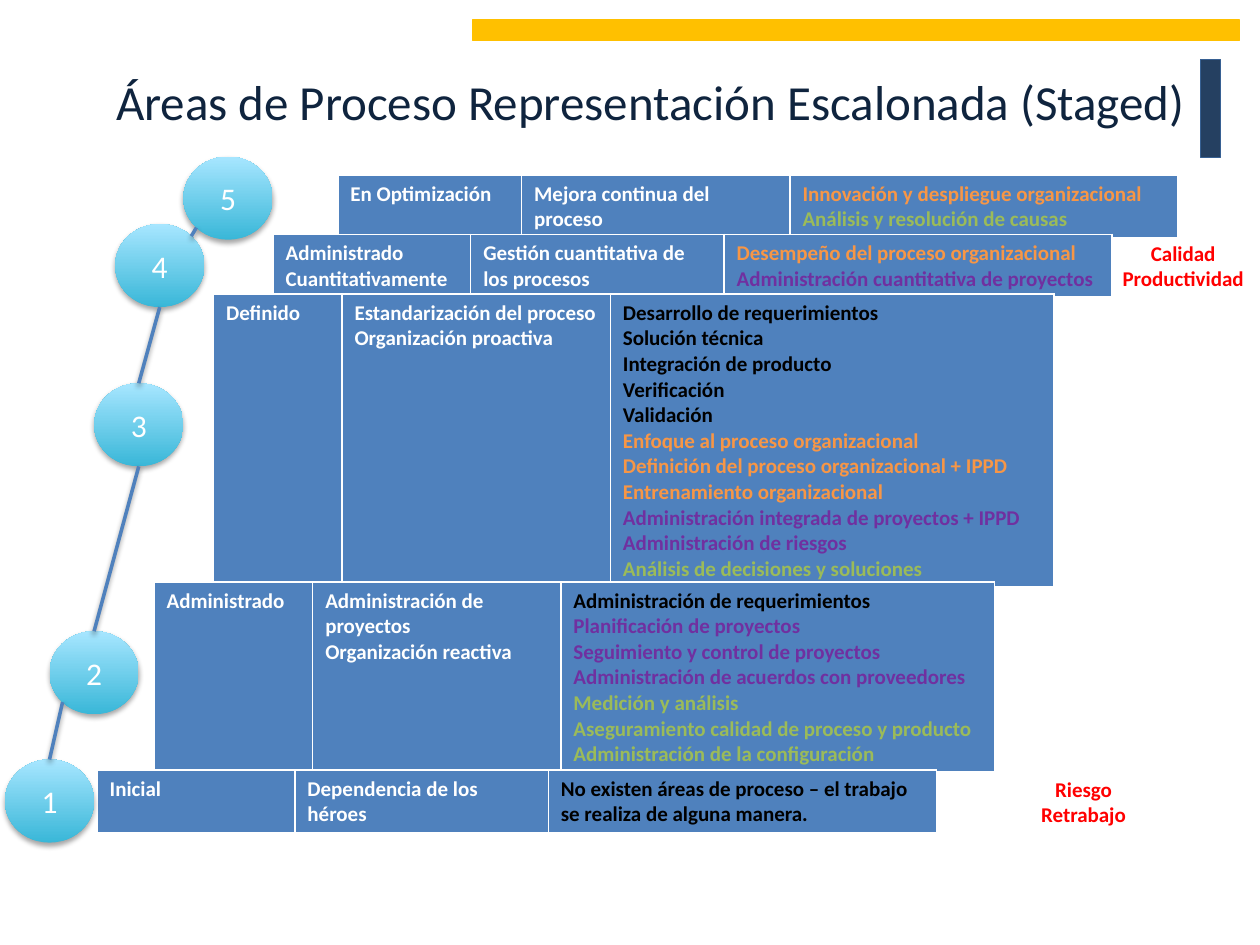
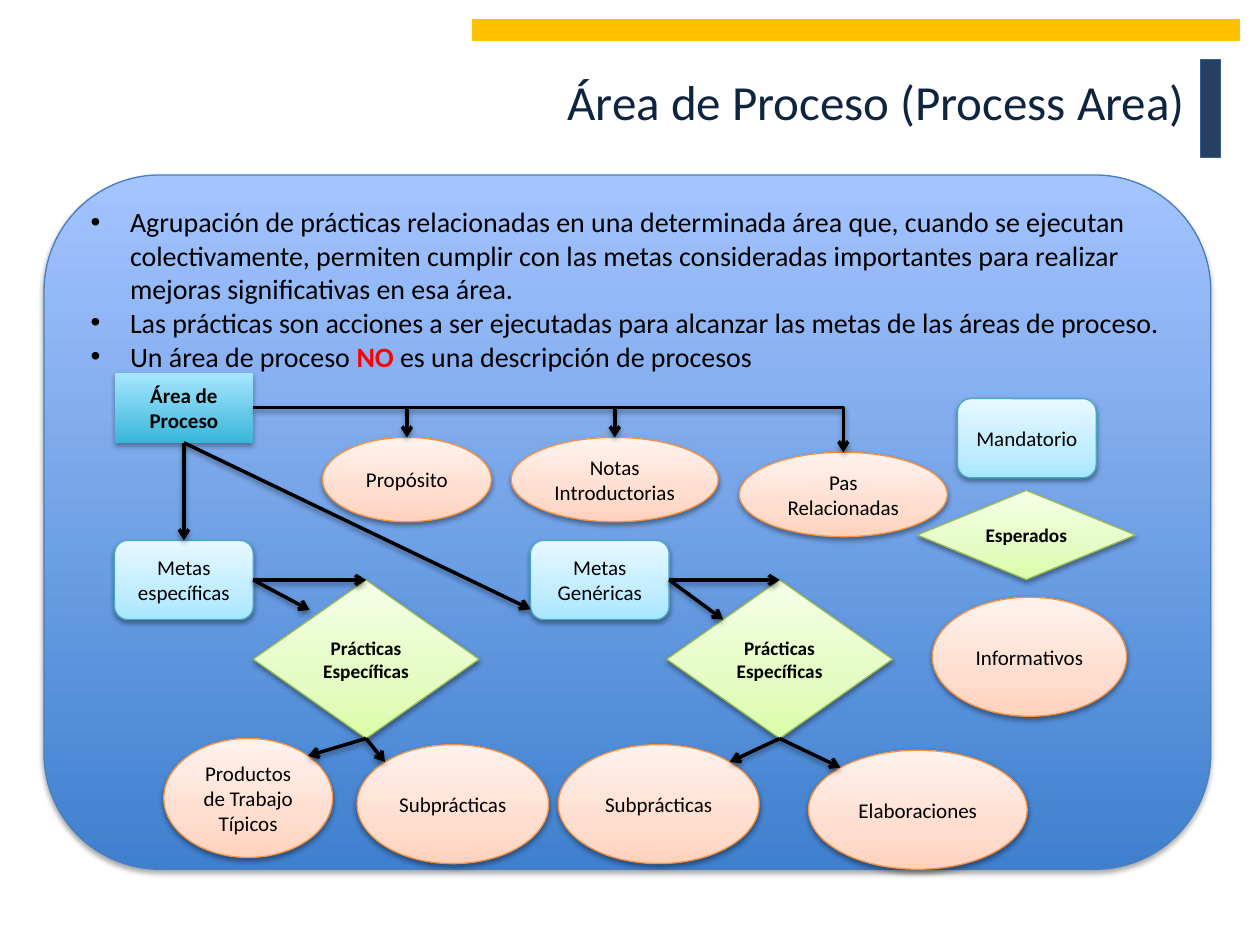
from dataclasses import dataclass

from lxml import etree
from pptx import Presentation
from pptx.dml.color import RGBColor
from pptx.enum import shapes as kinds, text as txt
from pptx.oxml.ns import qn
from pptx.util import Pt

KIND = kinds.MSO_SHAPE
LINK = kinds.MSO_CONNECTOR
ALIGN = txt.PP_ALIGN
ANCHOR = txt.MSO_ANCHOR


@dataclass(frozen=True)
class Theme:
    font: str = "Calibri"
    title: int = 28
    body: int = 16
    small: int = 12
    navy: str = "0F243E"
    bar: str = "254061"
    edge: str = "376092"
    gold: str = "FFC000"
    blue: str = "4F81BD"
    white: str = "FFFFFF"
    black: str = "000000"
    red: str = "FF0000"
    orange: str = "F79646"
    green: str = "9BBB59"
    purple: str = "7030A0"


@dataclass(frozen=True)
class Style:
    kind: int
    stops: tuple            # (position in percent, colour), bottom to top
    line: str = None
    size: int = 12
    bold: bool = False
    ink: str = "000000"
    shade: tuple = (38, 1.6)  # opacity in percent, distance


T = Theme()
DEEP = ((0, "39B7D8"), (100, "A7E6FF"))
HARD = (35, 1.8)
BALL = Style(KIND.OVAL, DEEP, size=18, ink=T.white, shade=HARD)
ROOT = Style(KIND.RECTANGLE, DEEP, bold=True, shade=HARD)
PANEL = Style(KIND.ROUNDED_RECTANGLE, ((0, "3F80CE"), (100, "A4C4FF")), "4B7EBC", shade=HARD)
GOAL = Style(KIND.ROUNDED_RECTANGLE, ((0, "A7E6FF"), (35, "C1EDFF"), (100, "E7F8FF")), "46AAC5")
TASK = Style(KIND.FLOWCHART_DECISION, ((0, "DAFDA7"), (35, "E4FCC2"), (100, "F5FFE7")),
             "98B955", size=11, bold=True)
INFO = Style(KIND.OVAL, ((0, "FFD2BD"), (35, "FFDED0"), (100, "FFF2ED")), "F69240")

# Points on a shape, as fractions of its width and height
TOP, BASE, RIGHT = (0.5, 0), (0.5, 1), (1, 0.5)
NEAR, FAR = 0.146, 0.854  # diagonal points of an ellipse


def rgb(code):
    return RGBColor.from_string(code)


def box(*nums):
    return [Pt(n) for n in nums]


def style(para, size, ink, bold=False, align=None):
    font = para.font
    font.name, font.size, font.bold = T.font, Pt(size), bold
    font.color.rgb = rgb(ink)
    para.alignment = align


def place(shape, *nums):
    shape.left, shape.top, shape.width, shape.height = box(*nums)


def shade(shape, alpha, dist):
    """Soft shadow straight below; call it after fill and line are set."""
    fx = etree.SubElement(shape._element.spPr, qn("a:effectLst"))
    outer = etree.SubElement(fx, qn("a:outerShdw"), blurRad=str(Pt(3.1)), dist=str(Pt(dist)),
                             dir="5400000", rotWithShape="0")
    ink = etree.SubElement(outer, qn("a:srgbClr"), val=T.black)
    etree.SubElement(ink, qn("a:alpha"), val=str(alpha * 1000))


def blend(shape, stops):
    shape.fill.gradient()
    shape.fill.gradient_angle = 90
    group = shape._element.spPr.find(".//" + qn("a:gsLst"))
    for stop in list(group):
        group.remove(stop)
    for pos, ink in stops:
        stop = etree.SubElement(group, qn("a:gs"), pos=str(pos * 1000))
        etree.SubElement(stop, qn("a:srgbClr"), val=ink)


def node(slide, look, words, *nums):
    shape = slide.shapes.add_shape(look.kind, *box(*nums))
    blend(shape, look.stops)
    if look.line:
        shape.line.color.rgb, shape.line.width = rgb(look.line), Pt(0.75)
    else:
        shape.line.fill.background()
    shade(shape, *look.shade)
    if words:
        shape.text_frame.text = words
        style(shape.text_frame.paragraphs[0], look.size, look.ink, look.bold, ALIGN.CENTER)
    return shape


def spot(shape, part):
    return (shape.left.pt + shape.width.pt * part[0], shape.top.pt + shape.height.pt * part[1])


def link(slide, start, end, ink=T.black, arrow=True, bent=False):
    line = slide.shapes.add_connector(LINK.ELBOW if bent else LINK.STRAIGHT, *box(*start, *end))
    line.line.color.rgb, line.line.width = rgb(ink), Pt(2)
    form = line._element.spPr
    if bent:  # a single corner
        form.find(qn("a:prstGeom")).set("prst", "bentConnector2")
    if arrow:
        etree.SubElement(form.find(qn("a:ln")), qn("a:tailEnd"), type="arrow")
    shade(line, 38, 1.6)


def band(slide, fill, edge, *nums):
    shape = slide.shapes.add_shape(KIND.RECTANGLE, *box(*nums))
    shape.fill.solid()
    shape.fill.fore_color.rgb = rgb(fill)
    shape.line.color.rgb, shape.line.width = rgb(edge), Pt(0.75)
    shape.shadow.inherit = False


def start(deck, layout, words):
    """New slide with the shared title and bands."""
    slide = deck.slides.add_slide(deck.slide_layouts[layout])
    title = slide.shapes.title
    place(title, 36, 37.5, 648, 62.5)
    frame = title.text_frame
    frame.text = words
    frame.auto_size, frame.vertical_anchor = txt.MSO_AUTO_SIZE.NONE, ANCHOR.TOP
    style(frame.paragraphs[0], T.title, T.navy, align=ALIGN.RIGHT)
    band(slide, T.bar, T.edge, 686, 34, 11.5, 56)
    band(slide, T.gold, T.gold, 270, 11.5, 438.5, 11.5)
    return slide


def border(cell):
    props = cell._tc.get_or_add_tcPr()
    for side, width in (("L", 1), ("R", 1), ("T", 1), ("B", 3)):
        line = etree.SubElement(props, qn("a:ln" + side), w=str(Pt(width)))
        fill = etree.SubElement(line, qn("a:solidFill"))
        etree.SubElement(fill, qn("a:srgbClr"), val=T.white)


def step(slide, left, top, high, widths, cells):
    """One-row table; each cell is a list of (colour, lines)."""
    table = slide.shapes.add_table(1, 3, *box(left, top, sum(widths), high)).table
    for col, (wide, groups) in enumerate(zip(widths, cells)):
        table.columns[col].width = Pt(wide)
        cell = table.cell(0, col)
        border(cell)
        cell.fill.solid()
        cell.fill.fore_color.rgb = rgb(T.blue)
        rows = [(ink, row) for ink, lines in groups for row in lines]
        cell.text_frame.text = "\n".join(row for _, row in rows)
        for para, (ink, _) in zip(cell.text_frame.paragraphs, rows):
            style(para, T.small, ink, True)


def note(slide, words, left, top):
    frame = slide.shapes.add_textbox(*box(left, top, 87.8, 36)).text_frame
    frame.word_wrap = True
    frame.text = words
    style(frame.paragraphs[0], T.small, T.red, True, ALIGN.CENTER)


def bullets(slide, items, *nums):
    """Body list; each item is a list of (text, stressed)."""
    body = slide.placeholders[1]
    slide.shapes._spTree.append(body._element)  # bring in front of the panel
    place(body, *nums)
    frame = body.text_frame
    frame.auto_size, frame.vertical_anchor = txt.MSO_AUTO_SIZE.NONE, ANCHOR.TOP
    frame.margin_left = frame.margin_right = frame.margin_top = frame.margin_bottom = 0
    for num, item in enumerate(items):
        para = frame.add_paragraph() if num else frame.paragraphs[0]
        style(para, T.body, T.black)
        para.space_before = Pt(0)
        props = para._p.get_or_add_pPr()
        props.set("marL", str(Pt(22.5)))
        props.set("indent", str(Pt(-22.5)))
        for words, stress in item:
            run = para.add_run()
            run.text = words
            if stress:
                run.font.bold, run.font.color.rgb = True, rgb(T.red)


def stairs(deck):
    slide = start(deck, 5, "Áreas de Proceso Representación Escalonada (Staged)")
    # Maturity levels, top to bottom: left, top, height, widths, name, focus, areas
    levels = [
        (193, 100, 36, (105, 153.4, 221.8), "En Optimización", ["Mejora continua del proceso"],
         [(T.orange, ["Innovación y despliegue organizacional"]),
          (T.green, ["Análisis y resolución de causas"])]),
        (156, 134, 36, (113, 144.8, 221.8), "Administrado Cuantitativamente",
         ["Gestión cuantitativa de los procesos"],
         [(T.orange, ["Desempeño del proceso organizacional"]),
          (T.purple, ["Administración cuantitativa de proyectos"])]),
        (122, 168, 165.6, (73.4, 153.4, 253.4), "Definido",
         ["Estandarización del proceso", "Organización proactiva"],
         [(T.black, ["Desarrollo de requerimientos", "Solución técnica",
                     "Integración de producto", "Verificación", "Validación"]),
          (T.orange, ["Enfoque al proceso organizacional",
                      "Definición del proceso organizacional + IPPD",
                      "Entrenamiento organizacional"]),
          (T.purple, ["Administración integrada de proyectos + IPPD",
                      "Administración de riesgos"]),
          (T.green, ["Análisis de decisiones y soluciones"])]),
        (88, 332.5, 108, (90.7, 141.8, 247.7), "Administrado",
         ["Administración de proyectos", "Organización reactiva"],
         [(T.black, ["Administración de requerimientos"]),
          (T.purple, ["Planificación de proyectos", "Seguimiento y control de proyectos",
                      "Administración de acuerdos con proveedores"]),
          (T.green, ["Medición y análisis", "Aseguramiento calidad de proceso y producto",
                     "Administración de la configuración"])]),
        (55.5, 440, 36, (113, 144.8, 221.8), "Inicial", ["Dependencia de los héroes"],
         [(T.black, ["No existen áreas de proceso – el trabajo se realiza de alguna manera."])]),
    ]
    for left, top, high, widths, name, focus, areas in levels:
        step(slide, left, top, high, widths, ([(T.white, [name])], [(T.white, focus)], areas))
    note(slide, "Calidad Productividad", 632.2, 134)
    note(slide, "Riesgo Retrabajo", 575.3, 440)

    # Numbered balls, joined from 1 up to 5
    spots = [(2.8, 434), (28.3, 360.7), (53.8, 219), (65.8, 128), (104.8, 89.5)]
    balls = [node(slide, BALL, str(num), x, y, 51, 47.5) for num, (x, y) in enumerate(spots, 1)]
    ends = [(TOP, (NEAR, FAR)), (TOP, BASE), (TOP, BASE), ((FAR, NEAR), (NEAR, FAR))]
    for low, high, (out, into) in zip(balls, balls[1:], ends):
        link(slide, spot(low, out), spot(high, into), T.blue, arrow=False)


def area(deck):
    slide = start(deck, 1, "Área de Proceso (Process Area)")
    node(slide, PANEL, "", 25.2, 100, 666.7, 396.7)
    bullets(slide, [
        [("Agrupación de prácticas relacionadas en una determinada área que, cuando se ejecutan "
          "colectivamente, permiten cumplir con las metas consideradas importantes para realizar "
          "mejoras significativas en esa área.", False)],
        [("Las prácticas son acciones a ser ejecutadas para alcanzar las metas de las áreas de "
          "proceso.", False)],
        [("Un área de proceso ", False), ("NO", True),
         (" es una descripción de procesos", False)],
    ], 51.8, 117, 613.5, 98)

    # Process area and its informative parts
    root = node(slide, ROOT, "Área de Proceso", 65.5, 213, 79.2, 40)
    aim = node(slide, INFO, "Propósito", 184.3, 250, 96.5, 48.2)
    intro = node(slide, INFO, "Notas Introductorias", 292.2, 250, 118.2, 48.2)
    peers = node(slide, INFO, "Pas Relacionadas", 422.5, 258.5, 118.8, 48.2)
    link(slide, spot(root, RIGHT), spot(peers, TOP), bent=True)
    for part in (aim, intro):
        x, y = spot(part, TOP)
        link(slide, (x, spot(root, RIGHT)[1]), (x, y))

    # Goal branches: name, left, practice left, entry depth, results
    branches = [
        ("Metas específicas", 65.5, 144.7, 0.19,
         [("Productos de Trabajo Típicos", 93.6, 422, 96.5), ("Subprácticas", 204, 425.5, 109.5)]),
        ("Metas Genéricas", 303.2, 381, 0.25,
         [("Subprácticas", 319, 425.5, 114.8), ("Elaboraciones", 462, 428.7, 125)]),
    ]
    goals = []
    for name, left, side, depth, results in branches:
        goal = node(slide, GOAL, name, left, 308.8, 79.2, 45.2)
        task = node(slide, TASK, "Prácticas Específicas", side, 331.4, 129, 90.6)
        for into in (TOP, (0.25, depth)):
            link(slide, spot(goal, RIGHT), spot(task, into))
        for (words, x, y, wide), into in zip(results, (FAR, NEAR)):
            part = node(slide, INFO, words, x, y, wide, 68)
            link(slide, spot(task, BASE), spot(part, (into, NEAR)))
        goals.append(goal)
    for goal, into in zip(goals, (TOP, (0, 0.87))):
        link(slide, spot(root, BASE), spot(goal, into))

    # Legend
    node(slide, GOAL, "Mandatorio", 547.2, 227.8, 79.2, 45.2)
    node(slide, TASK, "Esperados", 524.2, 280.2, 124.6, 51)
    node(slide, INFO, "Informativos", 532.8, 341.3, 111, 68)


def main():
    deck = Presentation()
    deck.slide_width, deck.slide_height = Pt(720), Pt(540)
    stairs(deck)
    area(deck)
    deck.save("out.pptx")


main()
